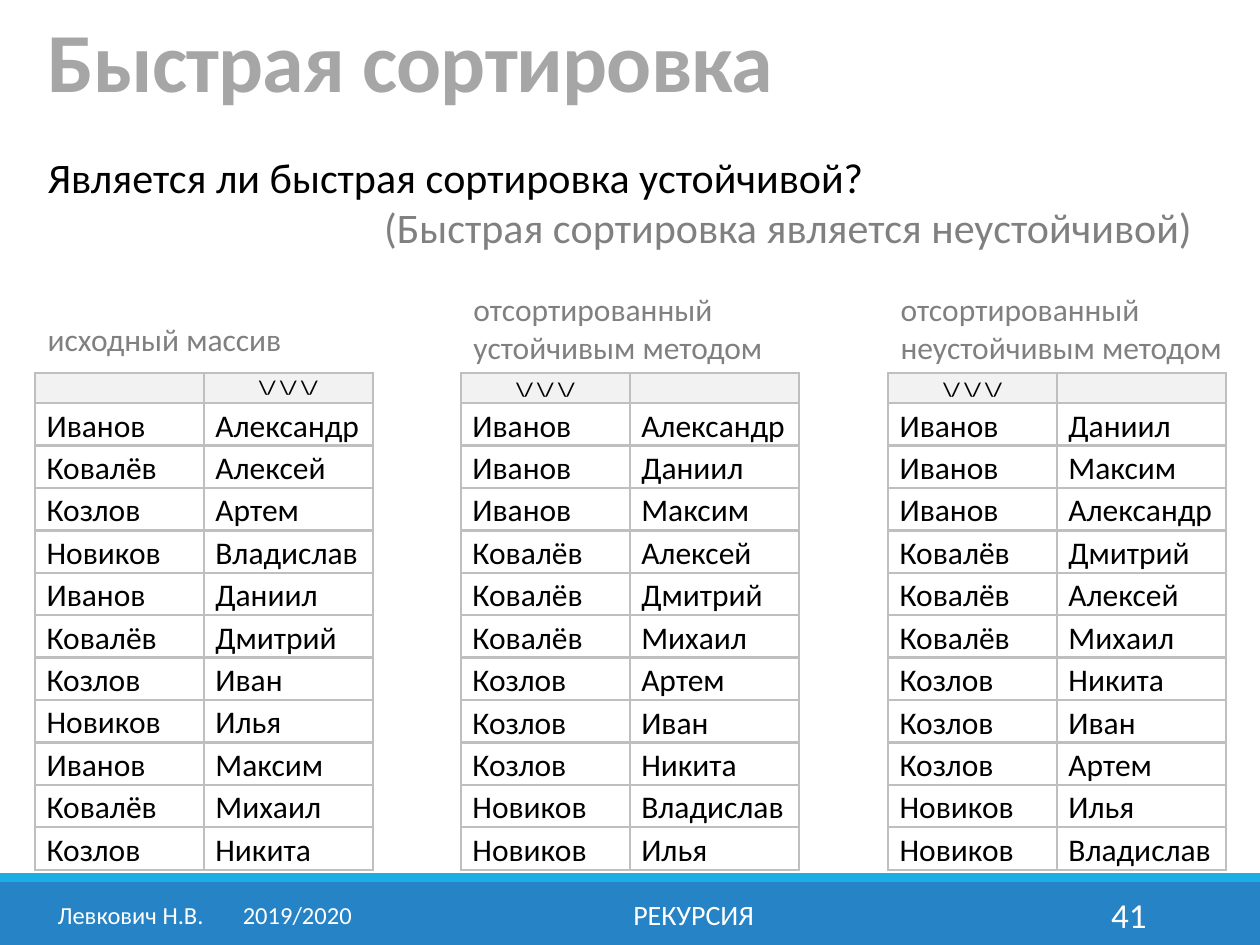
from typing import NamedTuple

from lxml.etree import SubElement
from pptx import Presentation
from pptx.dml.color import RGBColor
from pptx.enum.shapes import MSO_SHAPE
from pptx.enum.text import MSO_ANCHOR, MSO_AUTO_SIZE, PP_ALIGN
from pptx.oxml.ns import qn
from pptx.util import Inches, Pt

BLACK = RGBColor(0x00, 0x00, 0x00)
WHITE = RGBColor(0xFF, 0xFF, 0xFF)
GRAY = RGBColor(0x80, 0x80, 0x80)
SILVER = RGBColor(0xA6, 0xA6, 0xA6)
RULE = RGBColor(0xBF, 0xBF, 0xBF)
PALE = RGBColor(0xF2, 0xF2, 0xF2)
BLUE = RGBColor(0x26, 0x83, 0xC6)
CYAN = RGBColor(0x1C, 0xAD, 0xE4)
FONT = "Calibri"
MARK = "\\/ \\/ \\/"


class Box(NamedTuple):
    left: float
    top: float
    width: float
    height: float


class Style(NamedTuple):
    size: float
    color: RGBColor
    bold: bool = False
    align: PP_ALIGN = PP_ALIGN.LEFT
    anchor: MSO_ANCHOR = MSO_ANCHOR.TOP


class Label(NamedTuple):
    text: str
    box: Box
    style: Style


class Band(NamedTuple):
    box: Box
    color: RGBColor


class Grid(NamedTuple):
    left: float
    head: tuple[str, str]
    anchor: MSO_ANCHOR
    last: str
    first: str


NOTE = Style(18, GRAY)
ASK = Style(24, BLACK)
REPLY = Style(24, GRAY)
TITLE = Style(48, SILVER, True, anchor=MSO_ANCHOR.BOTTOM)
HEAD = Style(11, BLACK, True, PP_ALIGN.CENTER)
CELL = Style(18, BLACK)
FOOT = Style(14, WHITE, False, PP_ALIGN.CENTER, MSO_ANCHOR.MIDDLE)

BANDS = [
    Band(Box(0, 7, 10, 0.5), BLUE),
    Band(Box(0, 6.93, 10, 0.07), CYAN),
]
SORTED = "Иванов " * 3 + "Ковалёв " * 3 + "Козлов " * 3 + "Новиков " * 2
GRIDS = [
    Grid(0.28, ("", MARK), MSO_ANCHOR.TOP,
         "Иванов Ковалёв Козлов Новиков " * 2 + "Иванов Ковалёв Козлов",
         "Александр Алексей Артем Владислав Даниил Дмитрий "
         "Иван Илья Максим Михаил Никита"),
    Grid(3.66, (MARK, ""), MSO_ANCHOR.MIDDLE, SORTED,
         "Александр Даниил Максим Алексей Дмитрий Михаил "
         "Артем Иван Никита Владислав Илья"),
    Grid(7.05, (MARK, ""), MSO_ANCHOR.MIDDLE, SORTED,
         "Даниил Максим Александр Дмитрий Алексей Михаил "
         "Никита Иван Артем Илья Владислав"),
]
LABELS = [
    Label("исходный массив", Box(0.28, 2.49, 2.6, 0.4), NOTE),
    Label("отсортированный устойчивым методом", Box(3.66, 2.25, 2.6, 0.71), NOTE),
    Label("отсортированный неустойчивым методом", Box(7.05, 2.25, 2.76, 0.71), NOTE),
    Label("(Быстрая сортировка является неустойчивой)",
          Box(2.95, 1.55, 6.69, 0.5), REPLY),
    Label("РЕКУРСИЯ", Box(3.02, 7.06, 4.97, 0.4), FOOT._replace(size=16)),
    Label("41", Box(8.12, 7.06, 1.08, 0.4),
          FOOT._replace(size=20, align=PP_ALIGN.RIGHT)),
]


def place(shape, box: Box) -> None:
    shape.left, shape.top, shape.width, shape.height = map(Inches, box)


def add_run(para, text: str, style: Style):
    para.alignment = style.align
    run = para.add_run()
    run.text = text
    font = run.font
    font.name, font.size, font.bold = FONT, Pt(style.size), style.bold
    font.color.rgb = style.color
    return run


def fill_frame(shape, text: str, style: Style):
    frame = shape.text_frame
    frame.word_wrap = True
    frame.auto_size = MSO_AUTO_SIZE.NONE
    frame.vertical_anchor = style.anchor
    return add_run(frame.paragraphs[0], text, style)


def add_label(slide, label: Label):
    shape = slide.shapes.add_textbox(*map(Inches, label.box))
    fill_frame(shape, label.text, label.style)
    return shape


def add_band(slide, band: Band) -> None:
    shape = slide.shapes.add_shape(MSO_SHAPE.RECTANGLE, *map(Inches, band.box))
    shape.shadow.inherit = False
    shape.fill.solid()
    shape.fill.fore_color.rgb = band.color
    shape.line.fill.background()


def add_edges(cell) -> None:
    props = cell._tc.get_or_add_tcPr()
    for side in ("lnL", "lnR", "lnT", "lnB"):
        line = SubElement(props, qn(f"a:{side}"), w=str(Pt(1.5)))
        paint = SubElement(line, qn("a:solidFill"))
        SubElement(paint, qn("a:srgbClr"), val=str(RULE))


def fill_cell(cell, text: str, style: Style, anchor: MSO_ANCHOR, is_head: bool) -> None:
    cell.margin_left = cell.margin_right = cell.margin_top = Inches(0.01)
    cell.margin_bottom = 0
    cell.vertical_anchor = anchor
    add_edges(cell)
    if is_head:
        cell.fill.solid()
        cell.fill.fore_color.rgb = PALE
    else:
        cell.fill.background()
    para = cell.text_frame.paragraphs[0]
    para.line_spacing = 1.07
    if text:
        add_run(para, text, style)
    else:
        SubElement(para._p, qn("a:endParaRPr"), sz=str(style.size * 100))
    if not is_head:
        para._p.get_or_add_pPr().set("marL", str(Inches(0.08)))


def add_grid(slide, grid: Grid) -> None:
    rows = [grid.head, *zip(grid.last.split(), grid.first.split())]
    shape = slide.shapes.add_table(
        len(rows), 2, Inches(grid.left), Inches(2.96), Inches(2.68), Inches(3.88))
    table = shape.table
    table.first_row = table.horz_banding = False
    for col in table.columns:
        col.width = Inches(1.34)
    for i, row in enumerate(rows):
        is_head = i == 0
        table.rows[i].height = Inches(0.24 if is_head else 0.33)
        for j, text in enumerate(row):
            style = HEAD if is_head else CELL
            fill_cell(table.cell(i, j), text, style, grid.anchor, is_head)


def add_heads(slide) -> None:
    title, body = slide.shapes.title, slide.placeholders[1]
    place(title, Box(0.28, 0, 9.45, 0.92))
    run = fill_frame(title, "Быстрая сортировка", TITLE)
    run._r.get_or_add_rPr().set("spc", "-50")
    title.text_frame.paragraphs[0].line_spacing = 0.85
    place(body, Box(0.28, 1.15, 9.45, 0.5))
    para = body.text_frame.paragraphs[0]
    props = para._p.get_or_add_pPr()
    props.set("marL", "0")
    props.set("indent", "0")
    SubElement(props, qn("a:buNone"))
    para.space_before = Pt(0)
    fill_frame(body, "Является ли быстрая сортировка устойчивой?", ASK)


def add_foot(slide) -> None:
    label = Label("Левкович Н.В.\t2019/2020", Box(0.32, 7.06, 2.61, 0.4), FOOT)
    shape = add_label(slide, label)
    props = shape.text_frame.paragraphs[0]._p.get_or_add_pPr()
    tabs = SubElement(props, qn("a:tabLst"))
    SubElement(tabs, qn("a:tab"), pos=str(Inches(1.47)), algn="l")


def main() -> None:
    deck = Presentation()
    deck.slide_width, deck.slide_height = Inches(10), Inches(7.5)
    slide = deck.slides.add_slide(deck.slide_layouts[1])
    add_heads(slide)
    for band in BANDS:
        add_band(slide, band)
    for grid in GRIDS:
        add_grid(slide, grid)
    for label in LABELS:
        add_label(slide, label)
    add_foot(slide)
    deck.save("out.pptx")


if __name__ == "__main__":
    main()
